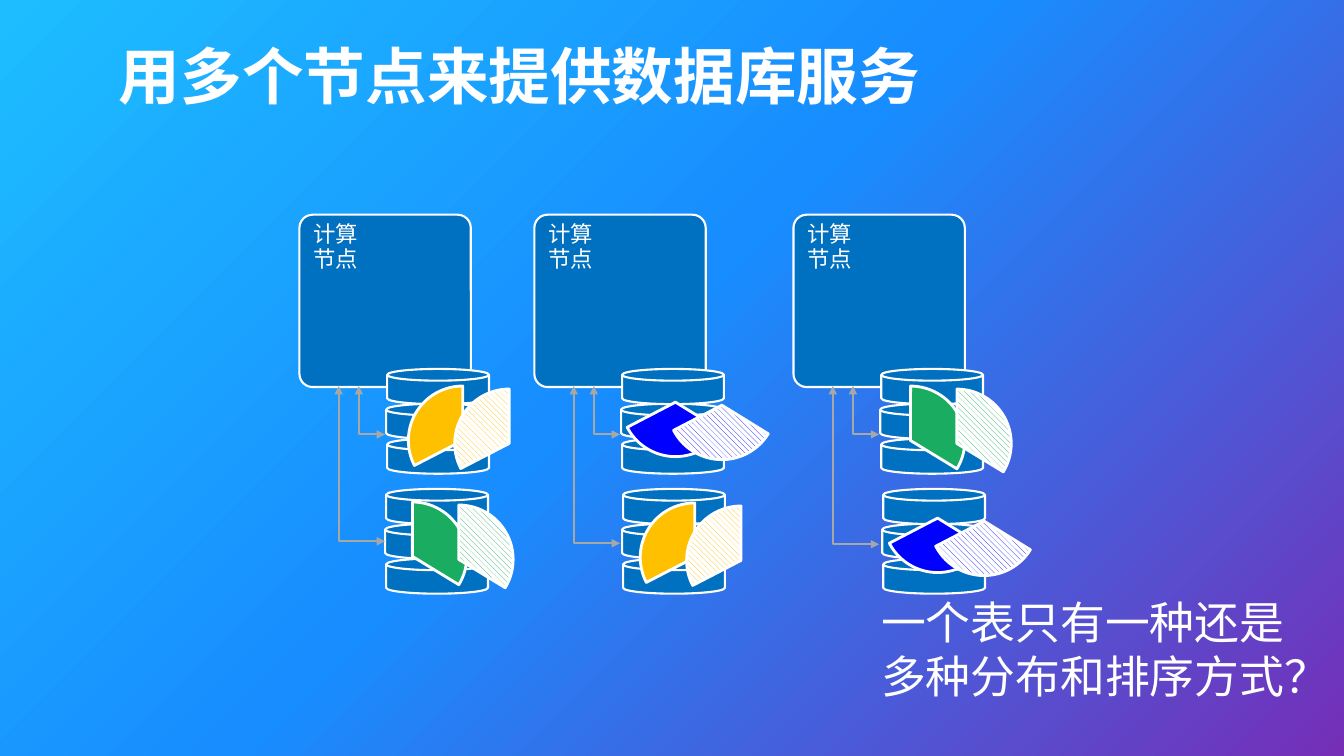
import pptx
import pptx.util
import pptx.dml.color
import pptx.enum.dml
import pptx.enum.shapes
import pptx.enum.text
import pptx.oxml.ns
import lxml.etree

Inches = pptx.util.Inches
SHAPES = pptx.enum.shapes.MSO_SHAPE
ANCHOR = pptx.enum.text.MSO_ANCHOR
qn = pptx.oxml.ns.qn

WHITE, NODE_BLUE, ARROW_GREY = "FFFFFF", "0070C0", "A7A7A7"
GRADIENT = [(0, "1DBDFF"), (47, "188DFF"), (100, "752FB7")]

# Colour and start and end angles of each table partition
PARTITIONS = {
    "yellow": ("FFC000", 91.59, 162),
    "green": ("1AAC60", 162.111, 18.814),
    "blue": ("0000FF", 19.016, 91.51),
}
PIE_SIZE = 1.08
HATCH_SHIFT = (0.46, 0.03)

# Left of the node, left of the lower disks, end of the long arrow,
# then name, left and top of the upper and lower partitions
NODES = [
    (2.97, 3.83, 5.37, [("yellow", 4.05, 3.83), ("green", 3.55, 4.98)]),
    (5.3, 6.18, 5.39, [("blue", 6.16, 3.45), ("yellow", 6.35, 4.99)]),
    (7.87, 8.76, 5.4, [("green", 8.49, 3.83), ("blue", 8.76, 4.6)]),
]


def colour(value):
    return pptx.dml.color.RGBColor.from_string(value)


def paint_background(page):
    fill = page.background.fill
    fill.gradient()
    fill.gradient_angle = 315
    stops = page.element.find(".//" + qn("a:gsLst"))
    for stop in list(stops):
        stops.remove(stop)
    for position, value in GRADIENT:
        stop = lxml.etree.SubElement(stops, qn("a:gs"), pos=str(position * 1000))
        lxml.etree.SubElement(stop, qn("a:srgbClr"), val=value)


def write(frame, lines, anchor, spacing, **font_values):
    frame.word_wrap = True
    frame.vertical_anchor = anchor
    for number, line in enumerate(lines):
        para = frame.paragraphs[0] if number == 0 else frame.add_paragraph()
        para.alignment = pptx.enum.text.PP_ALIGN.LEFT
        para.line_spacing = spacing
        span = para.add_run()
        span.text = line
        for name, value in font_values.items():
            setattr(span.font, name, value)
        span.font.color.rgb = colour(WHITE)


def outline(shape, value, width):
    shape.shadow.inherit = False
    shape.line.color.rgb = colour(value)
    shape.line.width = pptx.util.Pt(width)


def add_shape(page, kind, left, top, width, height, fill, line_width=1.5):
    shape = page.shapes.add_shape(
        kind, Inches(left), Inches(top), Inches(width), Inches(height))
    shape.fill.solid()
    shape.fill.fore_color.rgb = colour(fill)
    outline(shape, WHITE, line_width)
    return shape


def add_node(page, left):
    box = add_shape(page, SHAPES.ROUNDED_RECTANGLE, left, 2.13, 1.7, 1.71, NODE_BLUE)
    box.adjustments[0] = 0.077
    write(box.text_frame, ["计算", "节点"], ANCHOR.TOP, 0.9,
          name="Arial", size=pptx.util.Pt(16))


def add_disks(page, left, top):
    # The lowest disk is drawn first; the middle one sits slightly to the left
    for row, shift in ((2, 0), (1, -0.01), (0, 0)):
        add_shape(page, SHAPES.FLOWCHART_MAGNETIC_DISK,
                  left + shift, top + row * 0.345, 1.01, 0.35, NODE_BLUE)


def add_elbow_arrow(page, left, top, right, bottom):
    builder = page.shapes.build_freeform(Inches(left), Inches(top))
    builder.add_line_segments(
        [(Inches(left), Inches(bottom)), (Inches(right), Inches(bottom))], close=False)
    arrow = builder.convert_to_shape()
    arrow.fill.background()
    outline(arrow, ARROW_GREY, 1.5)
    line = arrow.line._get_or_add_ln()
    for end in ("a:headEnd", "a:tailEnd"):
        lxml.etree.SubElement(line, qn(end), type="triangle")


def add_partition(page, name, left, top):
    fill, start, end = PARTITIONS[name]
    for hatched in (False, True):
        pie = add_shape(page, SHAPES.PIE, left + hatched * HATCH_SHIFT[0],
                        top + hatched * HATCH_SHIFT[1], PIE_SIZE, PIE_SIZE, fill, 2)
        pie.adjustments[0], pie.adjustments[1] = start, end
        if hatched:
            pie.fill.patterned()
            pie.fill.pattern = pptx.enum.dml.MSO_PATTERN.WIDE_DOWNWARD_DIAGONAL
            pie.fill.fore_color.rgb = colour(fill)
            pie.fill.back_color.rgb = colour(WHITE)


def main():
    deck = pptx.Presentation()
    deck.slide_width, deck.slide_height = Inches(13.33), Inches(7.5)
    page = deck.slides.add_slide(deck.slide_layouts[5])
    paint_background(page)

    # Title
    title = page.shapes.title
    place = {"left": 1.08, "top": 0.41, "width": 10.84, "height": 0.75}
    for name, value in place.items():
        setattr(title, name, Inches(value))
    write(title.text_frame, ["用多个节点来提供数据库服务"], ANCHOR.MIDDLE, 0.9,
          name="Calibri", size=pptx.util.Pt(44), bold=True)

    # Compute nodes with their disks and partitions
    for left, lower_left, long_end, partitions in NODES:
        add_node(page, left)
        add_disks(page, left + 0.87, 3.66)
        add_disks(page, lower_left, 4.85)
        add_elbow_arrow(page, left + 0.59, 3.83, left + 0.85, 4.31)
        add_elbow_arrow(page, left + 0.39, 3.83, left + 0.85, long_end)
        for partition in partitions:
            add_partition(page, *partition)

    # Closing question
    question = page.shapes.add_textbox(
        Inches(8.64), Inches(5.85), Inches(4.47), Inches(1.18))
    write(question.text_frame, ["一个表只有一种还是多种分布和排序方式？"], ANCHOR.TOP, 1.0,
          name="Arial", size=pptx.util.Pt(32))
    question.text_frame.auto_size = pptx.enum.text.MSO_AUTO_SIZE.SHAPE_TO_FIT_TEXT

    deck.save("out.pptx")


if __name__ == "__main__":
    main()
